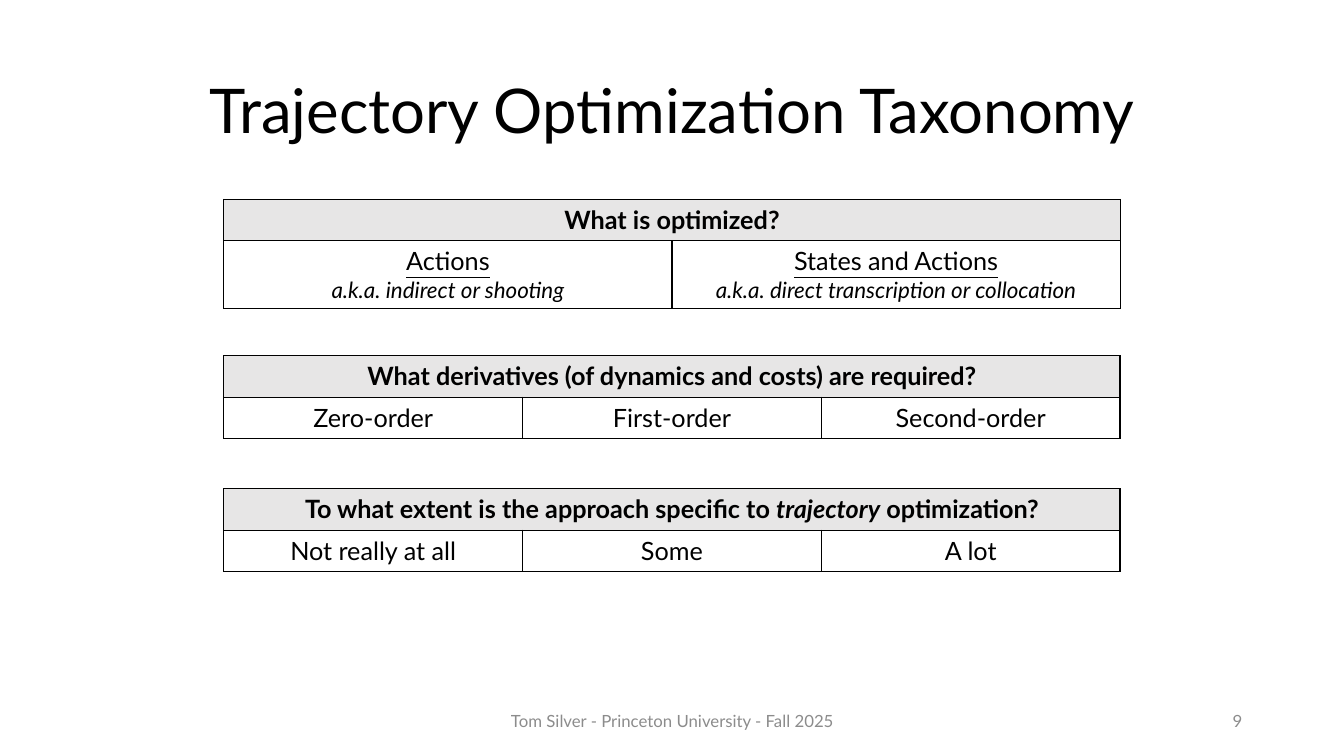
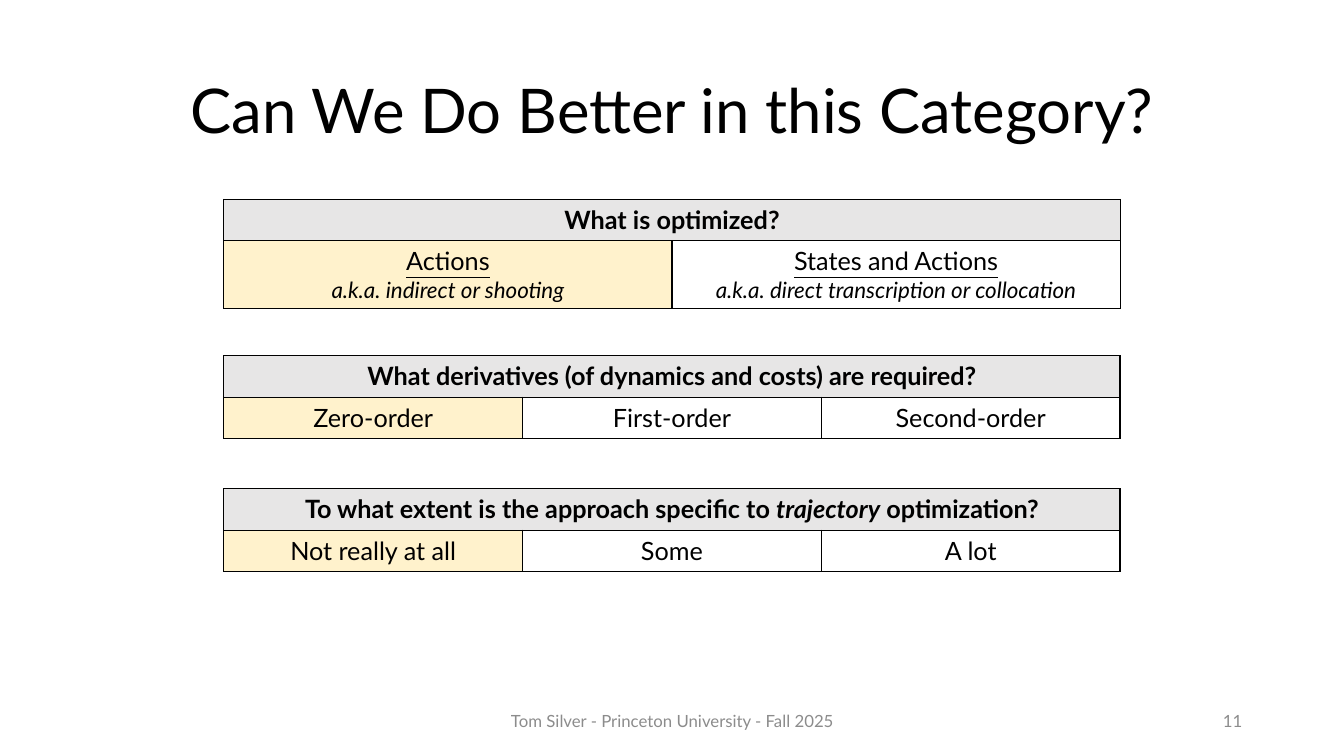
"""Build two slides that classify trajectory optimization methods in tables."""
from dataclasses import dataclass

from lxml.etree import SubElement
from pptx import Presentation
from pptx.dml.color import RGBColor
from pptx.enum.text import MSO_ANCHOR as Anchor, PP_ALIGN as Align
from pptx.oxml.ns import qn
from pptx.util import Inches, Pt

FONT = "Lato"
BLACK = RGBColor(0x00, 0x00, 0x00)
WHITE = RGBColor(0xFF, 0xFF, 0xFF)
GRAY = RGBColor(0x8C, 0x8C, 0x8C)
HEADER_FILL = RGBColor(0xE7, 0xE6, 0xE6)
HIGHLIGHT = RGBColor(0xFF, 0xF2, 0xCC)

FOOTER = "Tom Silver - Princeton University - Fall 2025"
TABLE_LEFT, TABLE_WIDTH = 2.22, 8.89
ROW_HEIGHT, TALL_ROW_HEIGHT = 0.41, 0.66


@dataclass(frozen=True)
class Span:
    text: str
    italic: bool = False


@dataclass(frozen=True)
class Option:
    name: str
    alias: str = ""


@dataclass(frozen=True)
class Question:
    top: float
    spans: tuple[Span, ...]
    options: tuple[Option, ...]


@dataclass(frozen=True)
class Page:
    title: str
    number: int
    first_fill: RGBColor


QUESTIONS = (
    Question(1.98, (Span("What is optimized?"),), (
        Option("Actions", "a.k.a. indirect or shooting"),
        Option("States and Actions", "a.k.a. direct transcription or collocation"),
    )),
    Question(3.53, (Span("What derivatives (of dynamics and costs) are required?"),), (
        Option("Zero-order"), Option("First-order"), Option("Second-order"),
    )),
    Question(4.85, (
        Span("To what extent is the approach specific to "),
        Span("trajectory", italic=True),
        Span(" optimization?"),
    ), (
        Option("Not really at all"), Option("Some"), Option("A lot"),
    )),
)

PAGES = (
    Page("Trajectory Optimization Taxonomy", 9, WHITE),
    Page("Can We Do Better in this Category?", 11, HIGHLIGHT),
)


def style_paragraph(paragraph, size: float, color: RGBColor = BLACK,
                    align: Align = Align.CENTER) -> None:
    paragraph.alignment = align
    font = paragraph.font
    font.name, font.size = FONT, Pt(size)
    font.color.rgb = color


def add_label(slide, text: str, left: float, top: float, width: float, height: float,
              size: float, color: RGBColor, align: Align = Align.CENTER):
    box = slide.shapes.add_textbox(Inches(left), Inches(top), Inches(width), Inches(height))
    frame = box.text_frame
    frame.word_wrap = True
    frame.vertical_anchor = Anchor.MIDDLE
    paragraph = frame.paragraphs[0]
    paragraph.text = text
    style_paragraph(paragraph, size, color, align)
    return paragraph


def style_cell(cell, fill: RGBColor) -> None:
    properties = cell._tc.get_or_add_tcPr()
    for side in ("a:lnL", "a:lnR", "a:lnT", "a:lnB"):
        line = SubElement(properties, qn(side), w=str(Pt(1)))
        solid = SubElement(line, qn("a:solidFill"))
        SubElement(solid, qn("a:srgbClr"), val=str(BLACK))
    cell.fill.solid()
    cell.fill.fore_color.rgb = fill


def fill_header(cell, spans: tuple[Span, ...]) -> None:
    paragraph = cell.text_frame.paragraphs[0]
    style_paragraph(paragraph, 18)
    paragraph.font.bold = True
    for span in spans:
        run = paragraph.add_run()
        run.text = span.text
        if span.italic:
            run.font.italic = True


def fill_option(cell, option: Option) -> None:
    name = cell.text_frame.paragraphs[0]
    name.text = option.name
    style_paragraph(name, 18)
    if option.alias:
        name.font.underline = True
        alias = cell.text_frame.add_paragraph()
        alias.text = option.alias
        style_paragraph(alias, 16)
        alias.font.italic = True


def add_question(slide, question: Question, first_fill: RGBColor) -> None:
    count = len(question.options)
    has_alias = any(option.alias for option in question.options)
    option_height = TALL_ROW_HEIGHT if has_alias else ROW_HEIGHT
    table = slide.shapes.add_table(
        2, count, Inches(TABLE_LEFT), Inches(question.top),
        Inches(TABLE_WIDTH), Inches(ROW_HEIGHT + option_height)).table
    table.first_row = table.horz_banding = False
    table.rows[0].height = Inches(ROW_HEIGHT)
    table.rows[1].height = Inches(option_height)
    table.cell(0, 0).merge(table.cell(0, count - 1))
    fill_header(table.cell(0, 0), question.spans)
    for column, option in enumerate(question.options):
        table.columns[column].width = Inches(TABLE_WIDTH / count)
        style_cell(table.cell(0, column), HEADER_FILL)
        option_cell = table.cell(1, column)
        style_cell(option_cell, WHITE if column else first_fill)
        fill_option(option_cell, option)


def add_page(deck, page: Page) -> None:
    slide = deck.slides.add_slide(deck.slide_layouts[6])
    title = add_label(slide, page.title, 0.92, 0.4, 11.5, 1.45, 44, BLACK)
    title.line_spacing = 0.9
    add_label(slide, FOOTER, 4.42, 6.95, 4.5, 0.4, 12, GRAY)
    add_label(slide, str(page.number), 9.42, 6.95, 3, 0.4, 12, GRAY, Align.RIGHT)
    for question in QUESTIONS:
        add_question(slide, question, page.first_fill)


def main() -> None:
    deck = Presentation()
    deck.slide_width, deck.slide_height = Inches(13.33), Inches(7.5)
    for page in PAGES:
        add_page(deck, page)
    deck.save("out.pptx")


if __name__ == "__main__":
    main()
